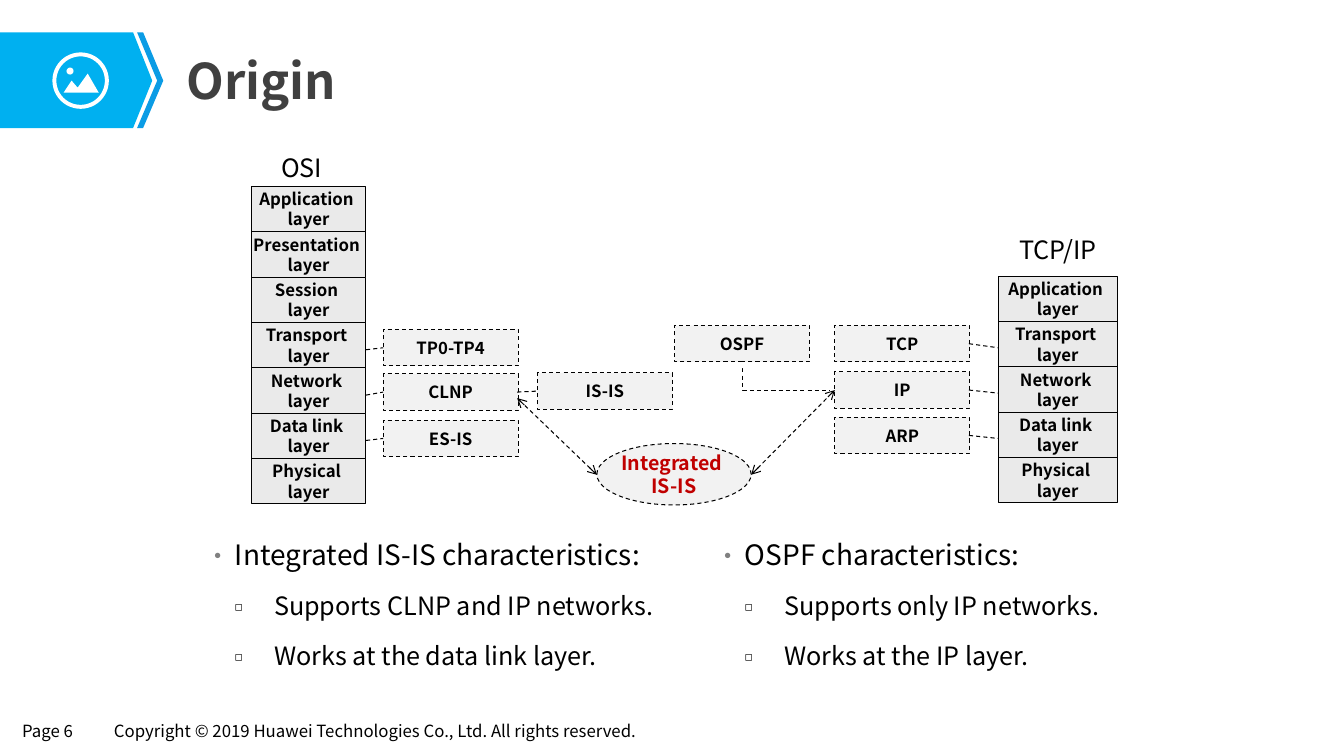
from dataclasses import dataclass

from lxml import etree
from pptx import Presentation
from pptx import util as u
from pptx.dml.color import RGBColor
from pptx.enum import dml, shapes, text
from pptx.oxml import ns

FONT = "Noto Sans CJK SC"
BLACK = RGBColor(0x00, 0x00, 0x00)
WHITE = RGBColor(0xFF, 0xFF, 0xFF)
TITLE_GRAY = RGBColor(0x40, 0x40, 0x40)
LAYER_GRAY = RGBColor(0xEA, 0xEA, 0xEA)
PROTOCOL_GRAY = RGBColor(0xF2, 0xF2, 0xF2)
BULLET_GRAY = RGBColor(0x80, 0x80, 0x80)
SKY = RGBColor(0x00, 0xB0, 0xF0)
DEEP_SKY = RGBColor(0x0B, 0x9C, 0xE5)
RED = RGBColor(0xC0, 0x00, 0x00)

LAYER_HEIGHT = 0.45
PROTOCOL_WIDTH, PROTOCOL_HEIGHT = 1.34, 0.36
RECT, OVAL = shapes.MSO_SHAPE.RECTANGLE, shapes.MSO_SHAPE.OVAL
LEFT, CENTER = text.PP_ALIGN.LEFT, text.PP_ALIGN.CENTER


@dataclass(frozen=True)
class Stack:
    heading: str
    heading_box: tuple[float, float, float, float]
    left: float
    top: float
    width: float
    layers: tuple[str, ...]


@dataclass(frozen=True)
class Protocol:
    name: str
    left: float
    top: float


@dataclass(frozen=True)
class Link:
    start: tuple[float, float]
    end: tuple[float, float]
    arrows: bool = False


@dataclass(frozen=True)
class Features:
    left: float
    width: float
    heading: str
    points: tuple[str, ...]


@dataclass(frozen=True)
class Bullet:
    char: str
    color: RGBColor
    percent: int
    indent: float
    hanging: float
    size: int


STACKS = (
    Stack("OSI", (2.69, 1.46, 0.64, 0.4), 2.49, 1.85, 1.14,
          ("Application", "Presentation", "Session", "Transport",
           "Network", "Data link", "Physical")),
    Stack("TCP/IP", (10.01, 2.28, 1.02, 0.4), 9.9, 2.74, 1.18,
          ("Application", "Transport", "Network", "Data link", "Physical")),
)
PROTOCOLS = (
    Protocol("TP0-TP4", 3.8, 3.27), Protocol("CLNP", 3.8, 3.71),
    Protocol("ES-IS", 3.8, 4.17), Protocol("IS-IS", 5.33, 3.7),
    Protocol("OSPF", 6.69, 3.23), Protocol("TCP", 8.28, 3.23),
    Protocol("IP", 8.28, 3.69), Protocol("ARP", 8.28, 4.14),
)
LINKS = (
    Link((3.63, 3.47), (3.8, 3.45)), Link((3.63, 3.92), (3.8, 3.89)),
    Link((3.63, 4.37), (3.8, 4.35)), Link((5.13, 3.89), (5.33, 3.88)),
    Link((9.61, 3.41), (9.9, 3.45)), Link((9.61, 3.87), (9.9, 3.9)),
    Link((9.61, 4.32), (9.9, 4.35)),
    Link((5.92, 4.71), (5.13, 3.95), arrows=True),
    Link((7.45, 4.71), (8.28, 3.87), arrows=True),
)
FEATURES = (
    Features(1.94, 4.79, "Integrated IS-IS characteristics:",
             ("Supports CLNP and IP networks.", "Works at the data link layer.")),
    Features(7, 4.12, "OSPF characteristics:",
             ("Supports only IP networks.", "Works at the IP layer.")),
)
HEADING_BULLET = Bullet("•", BULLET_GRAY, 90, 0.29, 0.29, 20)
POINT_BULLET = Bullet("◻", BLACK, 50, 0.68, 0.39, 18)

prs = Presentation()
prs.slide_width, prs.slide_height = u.Inches(13.33), u.Inches(7.5)
slide = prs.slides.add_slide(prs.slide_layouts[6])


def add_bullet(paragraph, bullet: Bullet) -> None:
    props = paragraph._p.get_or_add_pPr()
    props.set("marL", str(u.Inches(bullet.indent)))
    props.set("indent", str(-u.Inches(bullet.hanging)))
    color = etree.SubElement(props, ns.qn("a:buClr"))
    etree.SubElement(color, ns.qn("a:srgbClr"), val=str(bullet.color))
    etree.SubElement(props, ns.qn("a:buSzPct"), val=str(bullet.percent * 1000))
    etree.SubElement(props, ns.qn("a:buFont"), typeface=FONT)
    etree.SubElement(props, ns.qn("a:buChar"), char=bullet.char)


def write(shape, lines, *, size=12, color=BLACK, bold=False, align=CENTER,
          anchor=text.MSO_ANCHOR.MIDDLE, wrap=False, inset=0.1, bullets=()) -> None:
    frame = shape.text_frame
    frame.word_wrap = wrap
    frame.vertical_anchor = anchor
    frame.margin_left = frame.margin_right = u.Inches(inset)
    for index, line in enumerate(lines):
        paragraph = frame.paragraphs[0] if index == 0 else frame.add_paragraph()
        paragraph.alignment = align
        if bullets:
            add_bullet(paragraph, bullets[index])
            paragraph.line_spacing = 1.4
            if index:
                paragraph.space_before = u.Pt(5.4)
        run = paragraph.add_run()
        run.text = line
        run.font.name = FONT
        run.font.size = u.Pt(bullets[index].size if bullets else size)
        run.font.bold = bold
        run.font.color.rgb = color


def text_box(box: tuple[float, float, float, float], lines, **style) -> None:
    write(slide.shapes.add_textbox(*map(u.Inches, box)), lines,
          align=LEFT, anchor=text.MSO_ANCHOR.TOP, **style)


def paint(shape, fill: RGBColor, outlined: bool = False, dashed: bool = False):
    shape.shadow.inherit = False
    shape.fill.solid()
    shape.fill.fore_color.rgb = fill
    if outlined:
        style_line(shape.line, dashed)
    else:
        shape.line.fill.background()
    return shape


def style_line(line, dashed: bool) -> None:
    line.color.rgb = BLACK
    line.width = u.Pt(0.75)
    if dashed:
        line.dash_style = dml.MSO_LINE.DASH


def add_preset(kind, box, fill: RGBColor, **style):
    return paint(slide.shapes.add_shape(kind, *map(u.Inches, box)), fill, **style)


def add_outline(points, fill: RGBColor) -> None:
    start, *rest = [(u.Inches(x), u.Inches(y)) for x, y in points]
    builder = slide.shapes.build_freeform(*start)
    builder.add_line_segments(rest, close=True)
    paint(builder.convert_to_shape(), fill)


def connect(link: Link, kind=shapes.MSO_CONNECTOR.STRAIGHT):
    connector = slide.shapes.add_connector(kind, *map(u.Inches, link.start + link.end))
    style_line(connector.line, dashed=True)
    if link.arrows:
        for end in ("a:headEnd", "a:tailEnd"):
            etree.SubElement(connector.line._get_or_add_ln(), ns.qn(end), type="arrow")
    etree.SubElement(connector._element.spPr, ns.qn("a:effectLst"))
    return connector


# Footer
text_box((0.13, 7.1, 0.77, 0.29), ["Page 6"], inset=0.09)
text_box((1.04, 7.1, 5.66, 0.29),
         ["Copyright © 2019 Huawei Technologies Co., Ltd. All rights reserved."], inset=0.09)

# Title banner with its landscape icon
add_outline([(1.32, 1.27), (0, 1.27), (0, 0.32), (1.32, 0.32), (1.51, 0.8)], SKY)
add_outline([(1.42, 0.32), (1.36, 0.32), (1.56, 0.8), (1.36, 1.27),
             (1.42, 1.27), (1.62, 0.8)], DEEP_SKY)
ring = add_preset(shapes.MSO_SHAPE.DONUT, (0.52, 0.52, 0.56, 0.56), WHITE)
ring.adjustments[0] = 0.07
add_outline([(0.63, 0.92), (0.71, 0.8), (0.77, 0.87), (0.87, 0.73), (0.98, 0.92)], WHITE)
add_preset(OVAL, (0.66, 0.67, 0.07, 0.07), WHITE)
text_box((1.74, 0.45, 10.75, 0.7), ["Origin"], size=35, color=TITLE_GRAY,
         bold=True, wrap=True, inset=0.11)

# Layer stacks
for stack in STACKS:
    text_box(stack.heading_box, [stack.heading], size=18)
    for row, layer in enumerate(stack.layers):
        box = (stack.left, stack.top + row * LAYER_HEIGHT, stack.width, LAYER_HEIGHT)
        write(add_preset(RECT, box, LAYER_GRAY, outlined=True),
              [f"{layer} ", "layer"], bold=True)

# Protocols and their links
for protocol in PROTOCOLS:
    box = (protocol.left, protocol.top, PROTOCOL_WIDTH, PROTOCOL_HEIGHT)
    write(add_preset(RECT, box, PROTOCOL_GRAY, outlined=True, dashed=True),
          [protocol.name], bold=True)
integrated = add_preset(OVAL, (5.92, 4.4, 1.53, 0.61), PROTOCOL_GRAY,
                        outlined=True, dashed=True)
write(integrated, ["Integrated ", "IS-IS"], size=14, color=RED, bold=True)
for link in LINKS:
    connect(link)
ospf_to_ip = connect(Link((7.36, 3.66), (8.23, 3.87)), shapes.MSO_CONNECTOR.ELBOW)
bend = ospf_to_ip._element.spPr.find(ns.qn("a:prstGeom")).get_or_add_avLst()
etree.SubElement(bend, ns.qn("a:gd"), name="adj1", fmla="val 700")

# Characteristics
for features in FEATURES:
    text_box((features.left, 5.15, features.width, 1.77),
             [features.heading, *features.points], wrap=True,
             bullets=(HEADING_BULLET,) + (POINT_BULLET,) * len(features.points))

prs.save("out.pptx")
